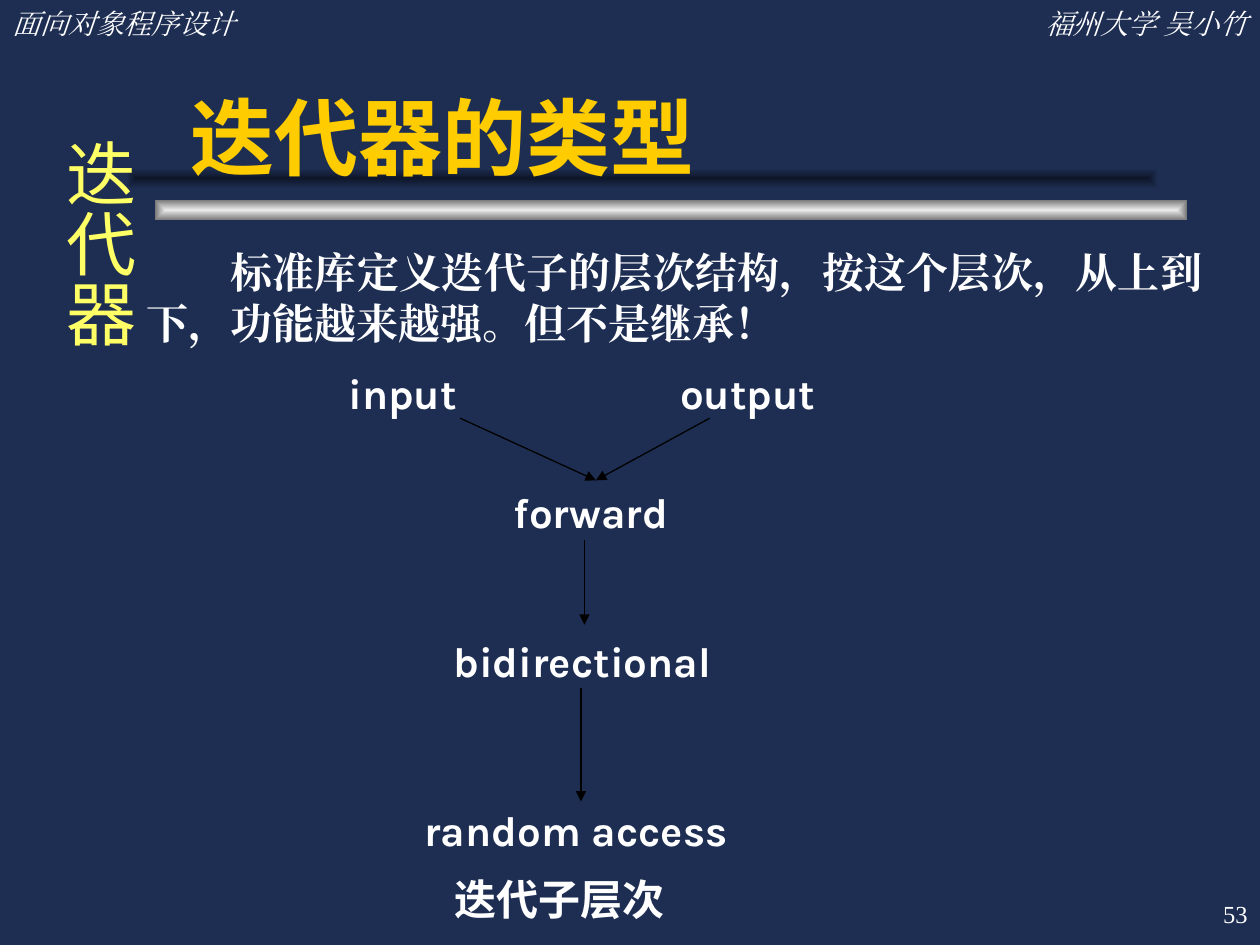
from lxml.etree import SubElement
from pptx import Presentation
from pptx.dml.color import RGBColor
from pptx.enum.shapes import MSO_CONNECTOR, MSO_SHAPE
from pptx.enum.text import MSO_ANCHOR, PP_ALIGN
from pptx.oxml.ns import qn
from pptx.util import Pt

NAVY = RGBColor(0x1E, 0x2E, 0x53)
SHADOW = RGBColor(0x0E, 0x16, 0x29)
SILVER = RGBColor(0xEA, 0xEA, 0xEA)
GRAY = RGBColor(0x74, 0x74, 0x74)
WHITE = RGBColor(0xFF, 0xFF, 0xFF)
GOLD = RGBColor(0xFF, 0xCC, 0x00)
YELLOW = RGBColor(0xFF, 0xFF, 0x66)
BLACK = RGBColor(0, 0, 0)
SERIF = "Times New Roman"

prs = Presentation()
prs.slide_width, prs.slide_height = Pt(720), Pt(540)
s = prs.slides.add_slide(prs.slide_layouts[6])
s.background.fill.solid()
s.background.fill.fore_color.rgb = NAVY


def add_text(text, x, y, w, h, size, font, color=WHITE, bold=False,
             italic=False, align=PP_ALIGN.LEFT, anchor=MSO_ANCHOR.TOP):
    tf = s.shapes.add_textbox(Pt(x), Pt(y), Pt(w), Pt(h)).text_frame
    tf.word_wrap = True
    tf.vertical_anchor = anchor
    p = tf.paragraphs[0]
    p.alignment = align
    r = p.add_run()
    r.text = text
    r.font.size = Pt(size)
    r.font.name = font
    r.font.color.rgb = color
    r.font.bold = bold
    r.font.italic = italic
    SubElement(r.font._element, qn("a:ea")).set("typeface", font)
    return tf


for x, y, inner, outer in [(88.5, 114, SILVER, GRAY), (72, 96, SHADOW, NAVY)]:
    sp = s.shapes.add_shape(MSO_SHAPE.RECTANGLE, Pt(x), Pt(y), Pt(590), Pt(12))
    sp.shadow.inherit = False
    sp.line.fill.background()
    sp.fill.gradient()
    for stop, color in zip(sp.fill.gradient_stops, (inner, outer)):
        stop.color.rgb = color
    grad = sp._element.spPr.find(qn("a:gradFill"))
    grad.remove(grad.find(qn("a:lin")))
    center = SubElement(grad, qn("a:path"))
    center.set("path", "rect")
    rect = SubElement(center, qn("a:fillToRect"))
    for side in "ltrb":
        rect.set(side, "50000")

add_text("面向对象程序设计", 0, 0, 222, 26.6, 16, SERIF, italic=True)
add_text("福州大学 吴小竹", 498, 0, 222, 26.6, 16, SERIF, italic=True, align=PP_ALIGN.RIGHT)
add_text("迭代器的类型", 102, 20, 564, 90, 48, "Arial", GOLD, bold=True, anchor=MSO_ANCHOR.BOTTOM)
tf = add_text("标准库定义迭代子的层次结构，按这个层次，从上到下，功能越来越强。但不是继承！",
              76.5, 137.5, 618, 65, 24, SERIF, bold=True, align=PP_ALIGN.JUSTIFY)
tf.paragraphs[0]._p.get_or_add_pPr().set("indent", str(Pt(48)))

for text, x, y, w, h in [
    ("input", 192, 206.5, 95, 49),
    ("output", 381.5, 206.5, 135, 56),
    ("forward", 286.5, 274.5, 142.5, 20),
    ("bidirectional", 252, 359.5, 189.5, 28),
    ("random access", 235.5, 456, 213, 34),
]:
    add_text(text, x, y, w, h, 24, "Karla", bold=True, align=PP_ALIGN.JUSTIFY)

for x1, y1, x2, y2 in [
    (263, 239, 340.5, 274.5),
    (405.5, 239, 340.5, 274.5),
    (332, 393, 332, 458),
    (334, 308.5, 334, 357),
]:
    c = s.shapes.add_connector(MSO_CONNECTOR.STRAIGHT, Pt(x1), Pt(y1), Pt(x2), Pt(y2))
    c.line.color.rgb = BLACK
    c.line.width = Pt(0.75)
    SubElement(c.line._get_or_add_ln(), qn("a:tailEnd")).set("type", "triangle")
    SubElement(c._element.spPr, qn("a:effectLst"))

add_text("迭代子层次", 252.5, 495.5, 244, 36, 24, "Karla", bold=True)
tf = add_text("迭代器", 21.5, 72, 62.5, 390, 40, "Noto Sans CJK SC", YELLOW, align=PP_ALIGN.CENTER)
tf.margin_left = tf.margin_right = Pt(3.6)
tf.margin_top = tf.margin_bottom = Pt(7.2)
tf._txBody.bodyPr.set("vert", "eaVert")
add_text("53", 570, 504, 150, 36, 14, SERIF, align=PP_ALIGN.RIGHT, anchor=MSO_ANCHOR.MIDDLE)

prs.save("out.pptx")
